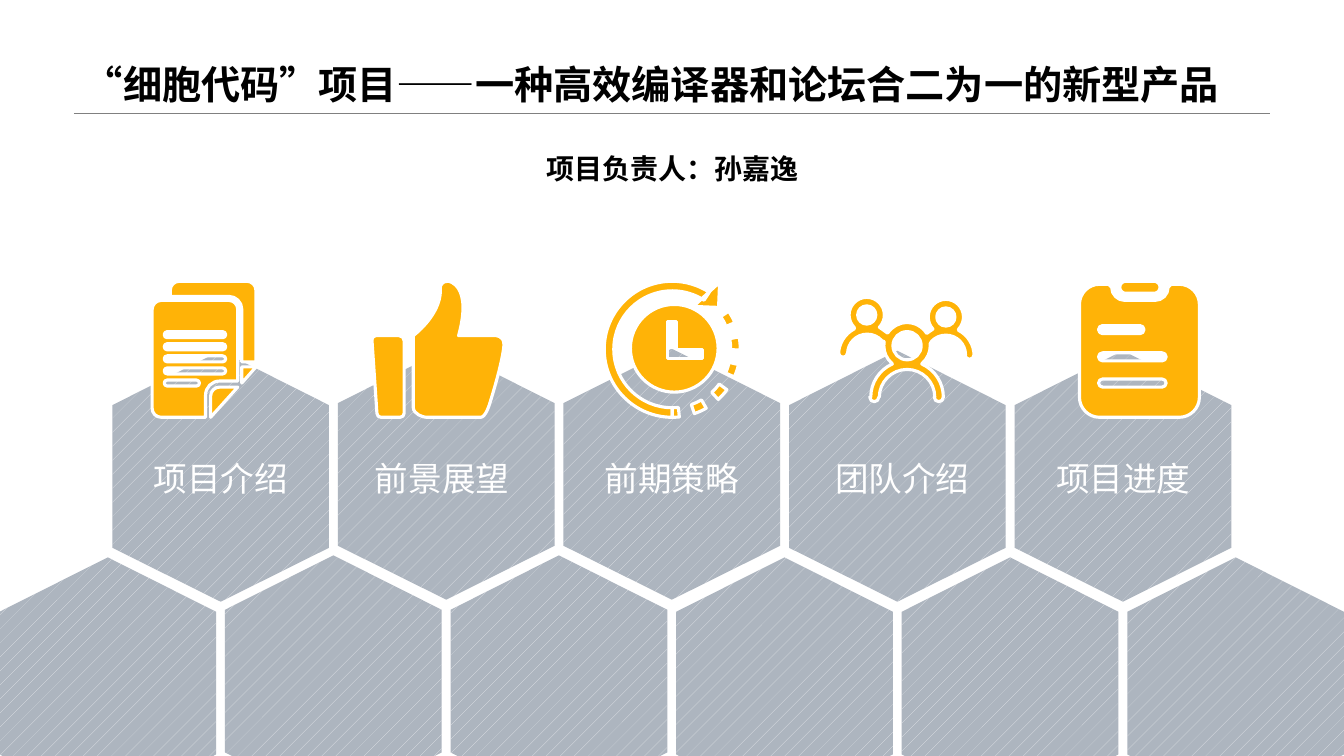
from math import cos, radians, sin, tan
from typing import NamedTuple

from lxml.etree import SubElement
from pptx import Presentation
from pptx.dml.color import RGBColor
from pptx.enum.dml import MSO_PATTERN
from pptx.enum.shapes import MSO_CONNECTOR
from pptx.enum.text import MSO_ANCHOR, MSO_AUTO_SIZE, PP_ALIGN
from pptx.oxml.ns import qn
from pptx.util import Cm, Pt

CM_PER_GRID_UNIT = 2.54  # outlines below are plotted on a 13.33 x 7.5 grid
GRID_BOTTOM = 7.5
AMBER, WHITE, BLACK, GREY = "FFB307", "FFFFFF", "000000", "808080"
CELL_DOTS, CELL_BASE = "E4E6EA", "ADB5BF"
RAISED_COLUMNS = (1, 2)

TITLE = "“细胞代码”项目——一种高效编译器和论坛合二为一的新型产品"
LEADER = "项目负责人：孙嘉逸"
TOPICS = {"项目介绍": 2.79, "前景展望": 8.36, "前期策略": 14.15,
          "团队介绍": 19.96, "项目进度": 25.53}

TITLE_FORMAT = {"size": Pt(28), "bold": True, "name": "Arial"}
LEADER_FORMAT = {"size": Pt(20), "bold": True, "name": "Arial"}
TOPIC_FORMAT = {"size": Pt(24), "bold": False, "name": "Arial"}


class Curve(NamedTuple):
    """Bezier step of a contour; a plain (x, y) step is a straight edge."""
    control_1: tuple
    control_2: tuple
    end: tuple


def color(hex_value):
    return RGBColor.from_string(hex_value)


def arc(cx, cy, radius, start, end):
    """Start point and curves, split at quadrants; degrees, clockwise from the right."""
    low, high = sorted((start, end))
    quadrants = [a for a in range(-360, 721, 90) if low < a < high]
    cuts = [start, *(quadrants if start < end else quadrants[::-1]), end]
    steps = [(cx + radius * cos(radians(start)), cy + radius * sin(radians(start)))]
    for a, b in zip(map(radians, cuts), map(radians, cuts[1:])):
        reach = 4 / 3 * tan((b - a) / 4)
        steps.append(Curve(
            (cx + radius * (cos(a) - reach * sin(a)), cy + radius * (sin(a) + reach * cos(a))),
            (cx + radius * (cos(b) + reach * sin(b)), cy + radius * (sin(b) - reach * cos(b))),
            (cx + radius * cos(b), cy + radius * sin(b))))
    return steps


def circle(cx, cy, radius):
    return arc(cx, cy, radius, 0, 360)


def band(cx, cy, outer, inner, start, end):
    return arc(cx, cy, outer, start, end) + arc(cx, cy, inner, end, start)


def slot(left, top, right, height):
    radius = height / 2
    middle = top + radius
    return (arc(left + radius, middle, radius, 90, 270)
            + arc(right - radius, middle, radius, -90, 90))


def hexagon(cx, top):
    """Honeycomb cell, cut off at the bottom edge of the slide."""
    half, shoulder, foot, tip = 1.075, top + 0.54, top + 1.955, top + 2.49
    if tip > GRID_BOTTOM:
        cut = half - 2 * (GRID_BOTTOM - foot)
        base = [(cx + cut, GRID_BOTTOM), (cx - cut, GRID_BOTTOM)]
    else:
        base = [(cx, tip)]
    return [(cx, top), (cx + half, shoulder), (cx + half, foot), *base,
            (cx - half, foot), (cx - half, shoulder)]


def honeycomb():
    cells = []
    for first_center, top, count in ((1.07, 5.53, 6), (2.19, 3.48, 5)):
        for column in range(count):
            lift = 0.02 if column in RAISED_COLUMNS else 0
            cells.append(hexagon(first_center + 2.238 * column, top - lift))
    return cells


def documents():
    front = [*arc(1.6, 3.07, 0.09, 180, 270), *arc(2.27, 3.07, 0.09, -90, 0),
             (2.36, 3.78), *arc(2.18, 3.92, 0.14, 270, 180), (2.04, 4.14),
             *arc(1.6, 4.05, 0.09, 90, 180)]
    fold = [(2.09, 4.14), (2.36, 3.84), *arc(2.18, 3.93, 0.09, 270, 180)]
    back = [*arc(1.78, 2.88, 0.09, 180, 270), *arc(2.45, 2.88, 0.09, -90, 0),
            (2.54, 3.59), (2.4, 3.59), *arc(2.27, 3.07, 0.13, 0, -90), (1.69, 2.94)]
    back_corner = [(2.4, 3.8), (2.54, 3.64), (2.4, 3.64)]
    lines = [slot(1.63, 3.29 + 0.12 * row, 1.98 if row == 4 else 2.24, 0.06)
             for row in range(5)]
    return [front, *lines, fold, back, back_corner]


def thumb_up():
    hand = [(4.91, 3.33), (4.55, 3.33),
            Curve((4.69, 2.82), (4.45, 2.79), (4.45, 2.79)),
            Curve((4.35, 2.79), (4.37, 2.87), (4.37, 2.88)),
            Curve((4.37, 3.13), (4.1, 3.33), (4.1, 3.33)), (4.1, 4.04),
            Curve((4.1, 4.11), (4.2, 4.14), (4.23, 4.14)), (4.77, 4.14),
            Curve((4.82, 4.14), (4.86, 4), (4.86, 4)),
            Curve((5, 3.55), (5, 3.42), (5, 3.42)),
            Curve((5, 3.32), (4.91, 3.33), (4.91, 3.33))]
    cuff = [*arc(3.73, 3.37, 0.04, 180, 270), *arc(3.96, 3.38, 0.05, -90, 0),
            *arc(3.97, 4.1, 0.04, 0, 90), *arc(3.78, 4.1, 0.04, 90, 180)]
    return [hand, cuff]


def clock():
    rim = (6.67, 3.465, 0.675, 0.58)
    dashes = [band(*rim, -34 + 23.5 * i, -23 + 23.5 * i) for i in range(5)]
    arrow = [(7.14, 2.8), (7.13, 3.05), (6.88, 3.04)]
    hands = [(6.97, 3.56), (6.62, 3.56), (6.62, 3.19), (6.71, 3.19),
             (6.71, 3.47), (6.97, 3.47)]
    return [*dashes, band(*rim, 84, 90), arrow, circle(6.69, 3.455, 0.435), hands,
            band(*rim, 90, 303)]


def team():
    silhouette_arcs = (
        (8.61, 3.52, 0.29, 180, 243), (8.6, 3.125, 0.175, 136, 404),
        (9, 3.43, 0.23, 213, 328), (9.385, 3.145, 0.175, 137, 403),
        (9.38, 3.53, 0.285, 297, 360), (9.62, 3.52, 0.045, 0, 180),
        (9.385, 3.52, 0.195, 360, 224), (9, 3.43, 0.23, -5, 49),
        (9, 3.94, 0.36, 294, 360), (9.315, 3.94, 0.045, 0, 180),
        (9, 3.94, 0.275, 360, 180), (8.675, 3.94, 0.045, 0, 180),
        (9, 3.94, 0.36, 180, 246), (9, 3.43, 0.23, 131, 190),
        (8.605, 3.51, 0.195, 318, 180), (8.365, 3.5, 0.045, 0, 180))
    silhouette = [step for piece in silhouette_arcs for step in arc(*piece)]
    return [silhouette, circle(8.6, 3.125, 0.09), circle(9, 3.43, 0.14),
            circle(9.385, 3.145, 0.09)]


def clipboard():
    board = [*arc(10.91, 3.02, 0.2, 180, 270), (11, 2.82),
             *arc(11.16, 2.85, 0.13, 180, 90), *arc(11.46, 2.85, 0.13, 90, 0),
             (11.62, 2.82), *arc(11.7, 3.02, 0.2, -90, 0),
             *arc(11.7, 3.94, 0.2, 0, 90), *arc(10.91, 3.94, 0.2, 90, 180)]
    lines = [slot(10.9, top, right, 0.08)
             for top, right in ((3.23, 11.35), (3.5, 11.57), (3.76, 11.57))]
    return [slot(11.11, 2.79, 11.51, 0.12), board, *lines]


def add_outline(slide, contours):
    """Draw closed contours as one freeform; inner contours become holes."""
    builder = None
    for contour in contours:
        points = [(Cm(x * CM_PER_GRID_UNIT), Cm(y * CM_PER_GRID_UNIT)) for step in contour
                  for x, y in (step if isinstance(step, Curve) else [step])]
        if builder is None:
            builder = slide.shapes.build_freeform(*points[0])
        else:
            builder.move_to(*points[0])
        builder.add_line_segments(points[1:], close=True)
    outline = builder.convert_to_shape()
    outline.shadow.inherit = False
    edges = iter(list(outline._element.iter(qn("a:lnTo"))))
    for step in (step for contour in contours for step in contour[1:]):
        edge = next(edges)
        if isinstance(step, Curve):
            edge.tag = qn("a:cubicBezTo")
            for extra in (next(edges), next(edges)):
                edge.append(extra[0])
                extra.getparent().remove(extra)
    return outline


def add_honeycomb(slide):
    cells = add_outline(slide, honeycomb())
    cells.fill.patterned()
    cells.fill.pattern = MSO_PATTERN.PERCENT_5
    cells.fill.fore_color.rgb = color(CELL_DOTS)
    cells.fill.back_color.rgb = color(CELL_BASE)
    cells.line.fill.background()


def add_icon(slide, contours):
    icon = add_outline(slide, contours)
    icon.fill.solid()
    icon.fill.fore_color.rgb = color(AMBER)
    icon.line.color.rgb = color(WHITE)
    icon.line.width = Pt(2.25)


def write(frame, wording, font_format, font_color, align, anchor, spacing):
    frame.word_wrap, frame.auto_size = True, MSO_AUTO_SIZE.NONE
    frame.vertical_anchor = anchor
    paragraph = frame.paragraphs[0]
    paragraph.alignment, paragraph.line_spacing = align, spacing
    run = paragraph.add_run()
    run.text = wording
    for attribute, value in font_format.items():
        setattr(run.font, attribute, value)
    run.font.color.rgb = color(font_color)


def add_heading(slide):
    rule = slide.shapes.add_connector(MSO_CONNECTOR.STRAIGHT, Cm(1.86), Cm(2.85),
                                      Cm(32.01), Cm(2.85))
    rule.line.color.rgb = color(GREY)
    rule.line.width = Pt(0.25)
    SubElement(rule._element.spPr, qn("a:effectLst"))
    title = slide.shapes.title
    place = {"left": Cm(1.86), "top": Cm(0), "width": Cm(30.15), "height": Cm(2.85)}
    for attribute, value in place.items():
        setattr(title, attribute, value)
    write(title.text_frame, TITLE, TITLE_FORMAT, BLACK, PP_ALIGN.LEFT, MSO_ANCHOR.BOTTOM, 0.9)


def add_caption(slide, wording, place, *style):
    caption = slide.shapes.add_textbox(*map(Cm, place))
    write(caption.text_frame, wording, *style)


def main():
    deck = Presentation()
    deck.slide_width, deck.slide_height = Cm(33.87), Cm(19.05)
    slide = deck.slides.add_slide(deck.slide_layouts[5])
    add_heading(slide)
    add_honeycomb(slide)
    for contours in (documents(), thumb_up(), clock(), team(), clipboard()):
        add_icon(slide, contours)
    add_caption(slide, LEADER, (13.44, 3.53, 7.01, 1.42), LEADER_FORMAT, BLACK,
                PP_ALIGN.CENTER, MSO_ANCHOR.MIDDLE, 1.0)
    for topic, left in TOPICS.items():
        add_caption(slide, topic, (left, 10.9, 5.56, 1.83), TOPIC_FORMAT, WHITE,
                    PP_ALIGN.CENTER, MSO_ANCHOR.TOP, 1.5)
    deck.save("out.pptx")


if __name__ == "__main__":
    main()
